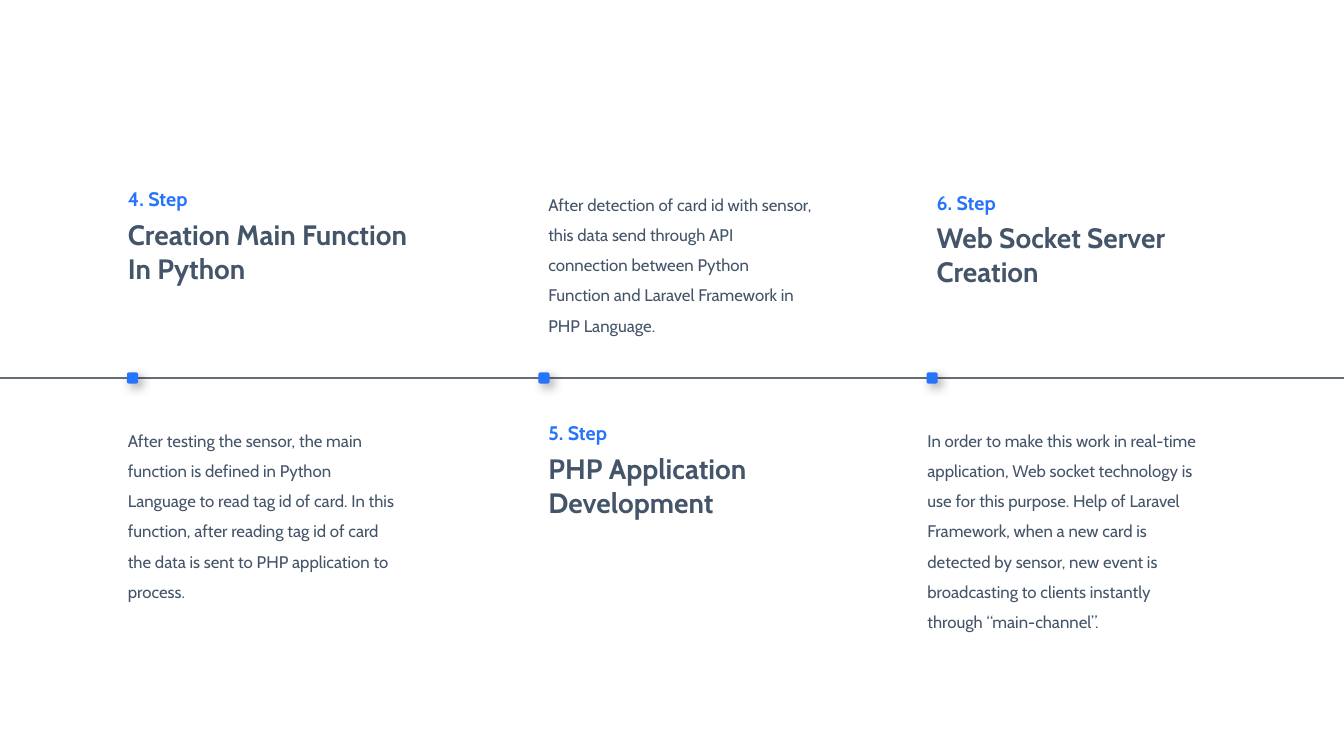
"""Timeline slide with steps 4 to 6 along a horizontal axis."""
from lxml import etree
from pptx import Presentation
from pptx.dml.color import RGBColor
from pptx.enum.shapes import MSO_CONNECTOR as CONN, MSO_SHAPE as SHAPE
from pptx.enum.text import MSO_AUTO_SIZE as FIT
from pptx.oxml import parse_xml
from pptx.oxml.ns import nsdecls, qn
from pptx.util import Inches, Pt

BLUE = RGBColor(0x25, 0x74, 0xFB)
SLATE = RGBColor(0x44, 0x54, 0x69)
GREY = RGBColor(0x65, 0x6D, 0x78)
FONT = "Cabin"
W, H = 13.33, 7.5
AXIS = H / 2
MARK = 0.11

STEPS = [
    {"step": "4. Step", "title": ["Creation Main Function", "In Python"],
     "body": "After testing the sensor, the main function is defined in Python "
             "Language to read tag id of card. In this function, after reading "
             "tag id of card the data is sent to PHP application to process.",
     "mark": 1.26, "head": (1.17, 1.81, 3.42, 1.08), "text": (1.17, 4.12, 2.9, 1.92)},
    {"step": "5. Step", "title": ["PHP Application Development"],
     "body": "After detection of card id with sensor, this data send through API "
             "connection between Python Function and Laravel Framework in PHP "
             "Language.",
     "mark": 5.34, "head": (5.34, 4.13, 3.13, 1.08), "text": (5.34, 1.78, 2.82, 1.62)},
    {"step": "6. Step", "title": ["Web Socket Server", "Creation"],
     "body": "In order to make this work in real-time application, Web socket "
             "technology is use for this purpose. Help of Laravel Framework, when "
             "a new card is detected by sensor, new event is broadcasting to "
             "clients instantly through “main-channel”.",
     "mark": 9.19, "head": (9.19, 1.84, 3.42, 1.08), "text": (9.1, 4.12, 2.98, 2.18)},
]

SHADOW = f"""<a:effectLst {nsdecls('a')}>
<a:outerShdw blurRad="{Pt(8)}" dist="{Pt(4)}" dir="2700000" algn="tl" rotWithShape="0">
<a:srgbClr val="000000"><a:alpha val="40000"/></a:srgbClr>
</a:outerShdw></a:effectLst>"""


def add_text(tf, text, size, color=SLATE, bold=False, spacing=1.0, before=0):
    """Write one formatted paragraph, reusing the first one while it is empty."""
    p = tf.paragraphs[0] if not tf.text else tf.add_paragraph()
    p.line_spacing, p.space_before = spacing, Pt(before)
    r = p.add_run()
    r.text = text
    r.font.name, r.font.size, r.font.bold = FONT, Pt(size), bold
    r.font.color.rgb = color


def add_box(slide, box):
    """Add a wrapping text box and return its text frame."""
    tf = slide.shapes.add_textbox(*map(Inches, box)).text_frame
    tf.word_wrap, tf.auto_size = True, FIT.SHAPE_TO_FIT_TEXT
    return tf


def add_axis(slide):
    """Draw the timeline across the whole slide."""
    y = Inches(AXIS)
    line = slide.shapes.add_connector(CONN.STRAIGHT, 0, y, Inches(W), y)
    line.line.color.rgb, line.line.width = GREY, Pt(0.75)
    etree.SubElement(line._element.spPr, qn("a:effectLst"))


def add_mark(slide, x):
    """Put a shadowed marker on the axis."""
    box = (x, AXIS - MARK / 2, MARK, MARK)
    sp = slide.shapes.add_shape(SHAPE.ROUNDED_RECTANGLE, *map(Inches, box))
    sp.fill.solid()
    sp.fill.fore_color.rgb = BLUE
    sp.line.fill.background()
    sp._element.spPr.append(parse_xml(SHADOW))


def main():
    """Build and save the slide."""
    prs = Presentation()
    prs.slide_width, prs.slide_height = Inches(W), Inches(H)
    slide = prs.slides.add_slide(prs.slide_layouts[6])
    add_axis(slide)
    for step in STEPS:
        add_mark(slide, step["mark"])
        head = add_box(slide, step["head"])
        add_text(head, step["step"], 14, color=BLUE, bold=True)
        for i, line in enumerate(step["title"]):
            add_text(head, line, 20, bold=True, before=0 if i else 5)
        add_text(add_box(slide, step["text"]), step["body"], 12, spacing=1.5)
    prs.save("out.pptx")


if __name__ == "__main__":
    main()
